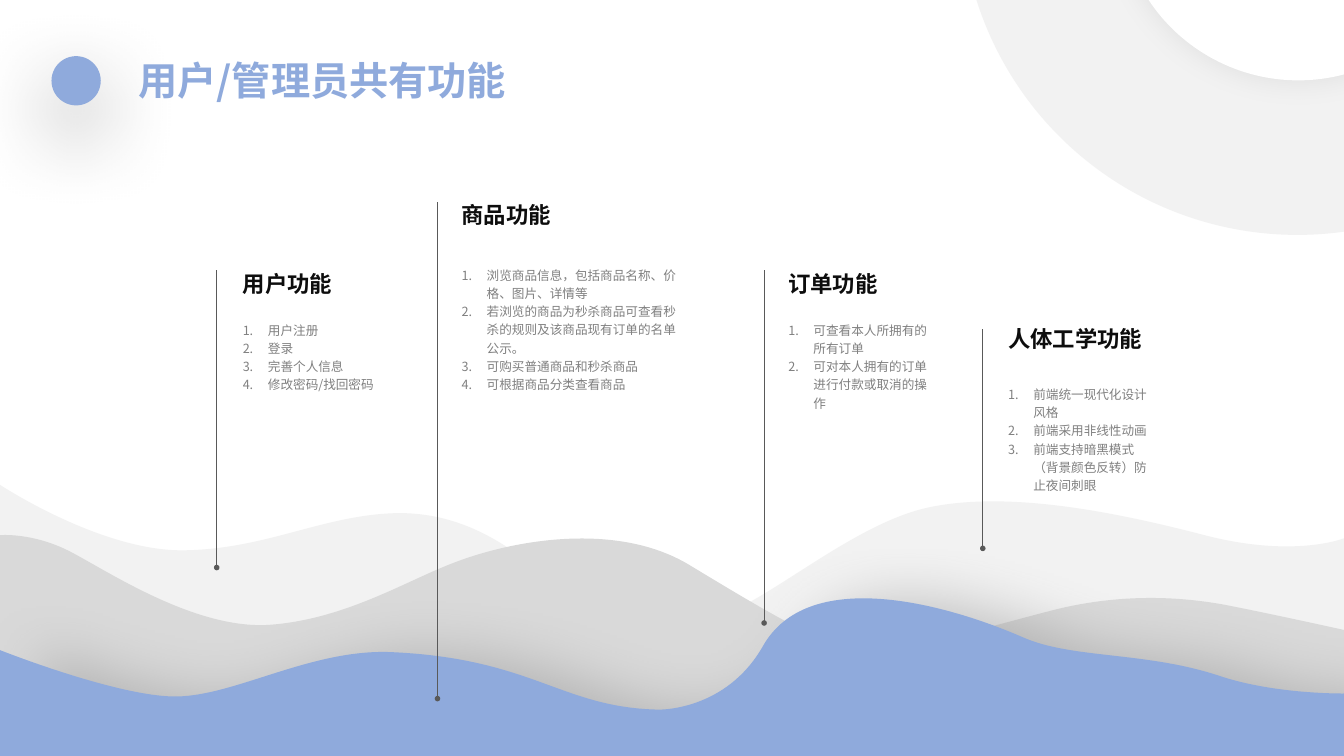
from lxml.etree import SubElement
from pptx import Presentation
from pptx.dml.color import RGBColor
from pptx.enum.shapes import MSO_CONNECTOR as Connector, MSO_SHAPE as Shape
from pptx.enum.text import MSO_AUTO_SIZE as AutoSize
from pptx.oxml.ns import qn
from pptx.util import Pt

WIDTH, HEIGHT = 960, 540
FONT = "Noto Sans CJK SC"
BLUE = RGBColor(0x8F, 0xAA, 0xDC)
WHITE = RGBColor(0xFF, 0xFF, 0xFF)
PALE_GRAY = RGBColor(0xF2, 0xF2, 0xF2)
LIGHT_GRAY = RGBColor(0xD9, 0xD9, 0xD9)
MID_GRAY = RGBColor(0x80, 0x80, 0x80)
DARK_GRAY = RGBColor(0x59, 0x59, 0x59)
BLACK = RGBColor(0x0D, 0x0D, 0x0D)
SHADOW_BLACK = RGBColor(0, 0, 0)

# Wave crests: start height, then curves as two control points and an end point
BACK_WAVE = (346.3, [
    (0, 346.3, 72, 393.8, 131, 393.1),
    (190.8, 392.4, 231.8, 367.2, 285.1, 366.5),
    (338.4, 366.5, 370.8, 398.2, 384.5, 406.1),
    (397.4, 414.7, 467.3, 450.7, 505.4, 442.8),
    (543.6, 434.9, 607.7, 373.7, 664.6, 362.2),
    (721.4, 350.6, 797, 365.8, 860.4, 382.3),
    (924.5, 398.9, 960, 384.5, 960, 384.5),
])
MIDDLE_WAVE = (382.3, [
    (0, 382.3, 23, 380.2, 49.7, 393.8),
    (76.3, 407.5, 138.2, 449.3, 191.5, 446.4),
    (244.8, 442.8, 288, 416.2, 321.1, 403.2),
    (362.2, 386.6, 438.5, 371.5, 491.8, 403.2),
    (550.1, 438.5, 586.8, 460.1, 606.2, 461.5),
    (652.3, 465.8, 701.3, 448.6, 756, 434.9),
    (810.7, 421.9, 854.6, 428.4, 874.8, 432),
    (911.5, 439.2, 960, 450, 960, 450),
])
FRONT_WAVE = (464.4, [
    (0, 464.4, 79.9, 496.1, 122.4, 497.5),
    (164.9, 499, 220.3, 463.7, 278.6, 465.8),
    (380.9, 470.2, 400.3, 505.4, 470.2, 506.9),
    (470.2, 506.9, 518.4, 508.3, 545, 461.5),
    (576.7, 405.4, 671.8, 429.8, 730.1, 455),
    (765.4, 470.9, 818.6, 465.1, 871.9, 483.1),
    (911.5, 496.1, 960, 495.4, 960, 495.4),
])

# Pin lines: x, top, bottom
PINS = [(545.8, 193, 445), (702, 234.7, 391.7),
        (154.8, 193, 405.4), (312.5, 144.4, 499)]

# Heading, heading box, list box, list items
FEATURES = [
    ("用户功能", (166.3, 185.8, 78.5, 30), (166.3, 224.8, 121.7, 59.8),
     ["用户注册", "登录", "完善个人信息", "修改密码/找回密码"]),
    ("商品功能", (322.6, 136.1, 78.5, 30), (322.6, 185.6, 168.5, 98.6),
     ["浏览商品信息，包括商品名称、价格、图片、详情等",
      "若浏览的商品为秒杀商品可查看秒杀的规则及该商品现有订单的名单公示。",
      "可购买普通商品和秒杀商品", "可根据商品分类查看商品"]),
    ("订单功能", (556, 185.8, 78.5, 30), (556, 224.8, 121.7, 72.7),
     ["可查看本人所拥有的所有订单", "可对本人拥有的订单进行付款或取消的操作"]),
    ("人体工学功能", (713, 224.8, 110.2, 30), (713, 270.7, 121.7, 85.7),
     ["前端统一现代化设计风格", "前端采用非线性动画",
      "前端支持暗黑模式（背景颜色反转）防止夜间刺眼"]),
]


def style_shape(shape, color, shadow=None):
    """Fill without outline; shadow is color, opacity %, blur, distance, angle."""
    shape.fill.solid()
    shape.fill.fore_color.rgb = color
    shape.line.fill.background()
    shape.shadow.inherit = False
    if shadow:
        shadow_color, opacity, blur, distance, angle = shadow
        effects = shape._element.spPr.find(qn("a:effectLst"))
        outer = SubElement(effects, qn("a:outerShdw"), blurRad=str(Pt(blur)),
                           dist=str(Pt(distance)), dir=str(angle * 60000),
                           algn="ctr", rotWithShape="0")
        tint = SubElement(outer, qn("a:srgbClr"), val=str(shadow_color))
        SubElement(tint, qn("a:alpha"), val=str(opacity * 1000))


def add_circle(slide, left, top, size, color, shadow=None):
    circle = slide.shapes.add_shape(Shape.OVAL, Pt(left), Pt(top), Pt(size), Pt(size))
    style_shape(circle, color, shadow)


def bend_segments(shape, count):
    """Turn each run of three straight segments into one cubic curve."""
    segments = list(shape._element.spPr.iter(qn("a:lnTo")))
    for first in range(0, count * 3, 3):
        triple = segments[first:first + 3]
        outline = triple[0].getparent()
        curve = SubElement(outline, qn("a:cubicBezTo"))
        triple[0].addprevious(curve)
        for segment in triple:
            curve.append(segment[0])
            outline.remove(segment)


def add_wave(slide, wave, color, shadow=None):
    start_height, crest = wave
    curves = crest + [(WIDTH, HEIGHT) * 3, (0, HEIGHT) * 3]
    points = [(Pt(curve[i]), Pt(curve[i + 1])) for curve in curves for i in (0, 2, 4)]
    points.append((0, Pt(start_height)))
    builder = slide.shapes.build_freeform(0, Pt(start_height))
    builder.add_line_segments(points, close=True)
    shape = builder.convert_to_shape()
    bend_segments(shape, len(curves))
    style_shape(shape, color, shadow)


def add_pin_line(slide, x, top, bottom):
    line = slide.shapes.add_connector(Connector.STRAIGHT, Pt(x), Pt(bottom), Pt(x), Pt(top))
    line.line.color.rgb = DARK_GRAY
    line.line.width = Pt(0.5)
    properties = line._element.spPr
    SubElement(properties.find(qn("a:ln")), qn("a:headEnd"), type="oval", w="sm", len="sm")
    SubElement(properties, qn("a:effectLst"))


def add_text(parent, box, lines, size, color, bold=False, wrap=True,
             spacing=1.2, numbered=False):
    text_box = parent.shapes.add_textbox(*map(Pt, box))
    frame = text_box.text_frame
    frame.word_wrap = wrap
    frame.auto_size = AutoSize.SHAPE_TO_FIT_TEXT
    for index, line in enumerate(lines):
        paragraph = frame.add_paragraph() if index else frame.paragraphs[0]
        paragraph.line_spacing = spacing
        if numbered:
            properties = paragraph._p.get_or_add_pPr()
            properties.set("marL", str(Pt(18)))
            properties.set("indent", str(-Pt(18)))
            SubElement(properties, qn("a:buAutoNum"), type="arabicPeriod")
        run = paragraph.add_run()
        run.text = line
        run.font.size = Pt(size)
        run.font.bold = bold
        run.font.color.rgb = color
        run.font.name = FONT
        SubElement(run._r.get_or_add_rPr(), qn("a:ea"), typeface=FONT)


def main():
    presentation = Presentation()
    presentation.slide_width = Pt(WIDTH)
    presentation.slide_height = Pt(HEIGHT)
    slide = presentation.slides.add_slide(presentation.slide_layouts[6])

    # Corner ring
    add_circle(slide, 686.2, -313.2, 481, PALE_GRAY)
    add_circle(slide, 799.2, -198.9, 256.3, WHITE, (SHADOW_BLACK, 7, 22, 0, 0))

    # Title with its dot
    add_circle(slide, 36.8, 40.1, 35.2, BLUE, (SHADOW_BLACK, 40, 60, 20, 90))
    add_text(slide, (91.8, 36.9, 284.4, 41), ["用户/管理员共有功能"], 28, BLUE,
             bold=True, spacing=1.0)

    # Waves
    add_wave(slide, BACK_WAVE, PALE_GRAY)
    add_wave(slide, MIDDLE_WAVE, LIGHT_GRAY)
    add_wave(slide, FRONT_WAVE, BLUE, (MID_GRAY, 40, 40, 30, 0))

    # Pin lines
    for pin in PINS:
        add_pin_line(slide, *pin)

    # Feature columns, each a group of heading and list
    for heading, heading_box, list_box, items in FEATURES:
        group = slide.shapes.add_group_shape()
        add_text(group, heading_box, [heading], 16, BLACK, bold=True, wrap=False)
        add_text(group, list_box, items, 9, MID_GRAY, numbered=True)

    presentation.save("out.pptx")


if __name__ == "__main__":
    main()
